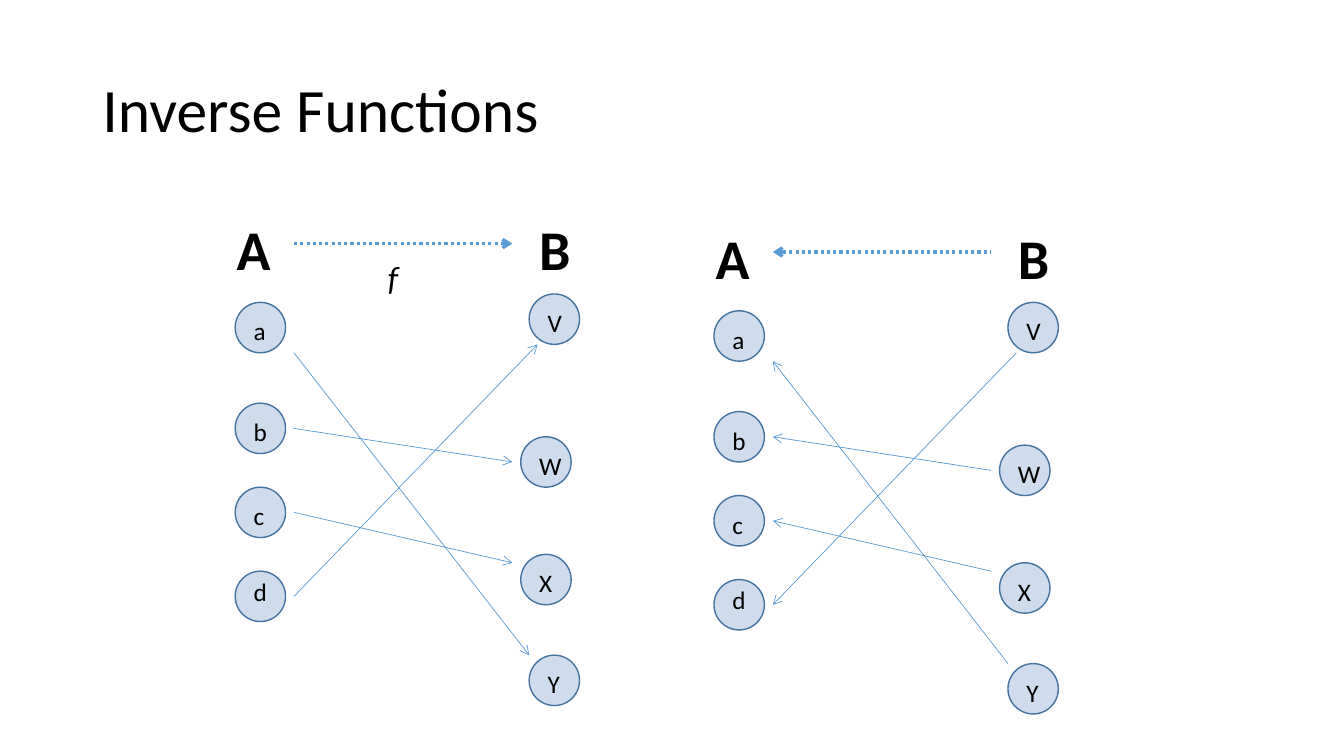
from pptx import Presentation
from pptx.dml.color import RGBColor
from pptx.enum.dml import MSO_LINE
from pptx.enum.shapes import MSO_CONNECTOR, MSO_SHAPE
from pptx.enum.text import MSO_ANCHOR, MSO_AUTO_SIZE, PP_ALIGN
from pptx.oxml.ns import qn
from pptx.util import Pt
from lxml import etree

PX = 9525  # EMU in one px, 96 px to the inch
BLACK = RGBColor(0x00, 0x00, 0x00)
NODE_FILL = RGBColor(0x4F, 0x81, 0xBD)
NODE_LINE = RGBColor(0x43, 0x73, 0x9E)
ARROW = RGBColor(0x5B, 0x9B, 0xD5)
CIRCLE = MSO_SHAPE.FLOWCHART_CONNECTOR
STRAIGHT = MSO_CONNECTOR.STRAIGHT
DOTTED = MSO_LINE.ROUND_DOT
GROW = MSO_AUTO_SIZE.SHAPE_TO_FIT_TEXT
NODE_SIZE = 48

# Node: name, left, top, label drop
NODES = [
    ("a", 224, 288, 8), ("b", 224, 384, 8), ("c", 224, 464, 8), ("d", 224, 544, 0),
    ("V", 504, 280, 8), ("W", 496, 416, 8), ("X", 496, 528, 8), ("Y", 504, 624, 8),
]
# Mapping: from x, from y, to x, to y
MAPPINGS = [
    (280, 336, 504, 624), (280, 408, 488, 440),
    (280, 488, 488, 536), (280, 568, 512, 328),
]
SET_ARROW = (280, 232, 488, 232)
# Diagram: shift right, shift down, line end that carries the arrowhead
DIAGRAMS = [(0, 0, "a:tailEnd"), (456, 8, "a:headEnd")]


def add_label(group, text, left, top, width, height, **format_values):
    box = group.shapes.add_textbox(left * PX, top * PX, width * PX, height * PX)
    frame = box.text_frame
    frame.word_wrap = True
    frame.auto_size = GROW
    span = frame.paragraphs[0].add_run()
    span.text = text
    span.font.color.rgb = BLACK
    for name, value in {"name": "Calibri", **format_values}.items():
        setattr(span.font, name, value)


def add_arrow(group, ends, shift, arrow_end, width, dash=None):
    points = [(value + shift[i % 2]) * PX for i, value in enumerate(ends)]
    arrow = group.shapes.add_connector(STRAIGHT, *points)
    arrow.line.color.rgb = ARROW
    arrow.line.width = width
    if dash:
        arrow.line.dash_style = dash
    properties = arrow.line._get_or_add_ln()
    etree.SubElement(properties, qn(arrow_end)).set("type", "arrow")
    etree.SubElement(properties.getparent(), qn("a:effectLst"))


deck = Presentation()
deck.slide_width, deck.slide_height = 1280 * PX, 720 * PX
page = deck.slides.add_slide(deck.slide_layouts[5])

# Title
title = page.shapes.title
title.left, title.top, title.width, title.height = 88 * PX, 38 * PX, 1104 * PX, 139 * PX
title.text_frame.auto_size = MSO_AUTO_SIZE.NONE
title.text_frame.vertical_anchor = MSO_ANCHOR.MIDDLE
para = title.text_frame.paragraphs[0]
para.alignment = PP_ALIGN.LEFT
para.line_spacing = 0.9
span = para.add_run()
span.text = "Inverse Functions"
span.font.name = "Calibri"
span.font.size = Pt(44)
span.font.color.rgb = BLACK

# The function and its inverse
for right, down, arrow_end in DIAGRAMS:
    group = page.shapes.add_group_shape()

    # Elements of both sets
    for name, left, top, drop in NODES:
        x, y = left + right, top + down
        node = group.shapes.add_shape(CIRCLE, x * PX, y * PX, NODE_SIZE * PX, NODE_SIZE * PX)
        node.shadow.inherit = False
        node.fill.solid()
        node.fill.fore_color.rgb = NODE_FILL
        colour = node.fill._xPr.find(".//" + qn("a:srgbClr"))
        etree.SubElement(colour, qn("a:alpha")).set("val", "27000")
        node.line.color.rgb = NODE_LINE
        node.line.width = Pt(1)
        add_label(group, name, x + 8, y + drop, 32, 38, size=Pt(18))

    # Set names
    for name, left in (("A", 216), ("B", 504)):
        add_label(group, name, left + right, 200 + down, 72, 74, size=Pt(40), bold=True)

    # Arrows
    for ends in MAPPINGS:
        add_arrow(group, ends, (right, down), arrow_end, Pt(0.5))
    add_arrow(group, SET_ARROW, (right, down), arrow_end, Pt(2.25), DOTTED)

    # Function name, on the forward diagram only
    if arrow_end == "a:tailEnd":
        add_label(group, "f", 360, 240, 56, 48, size=Pt(24), italic=True)

deck.save("out.pptx")
